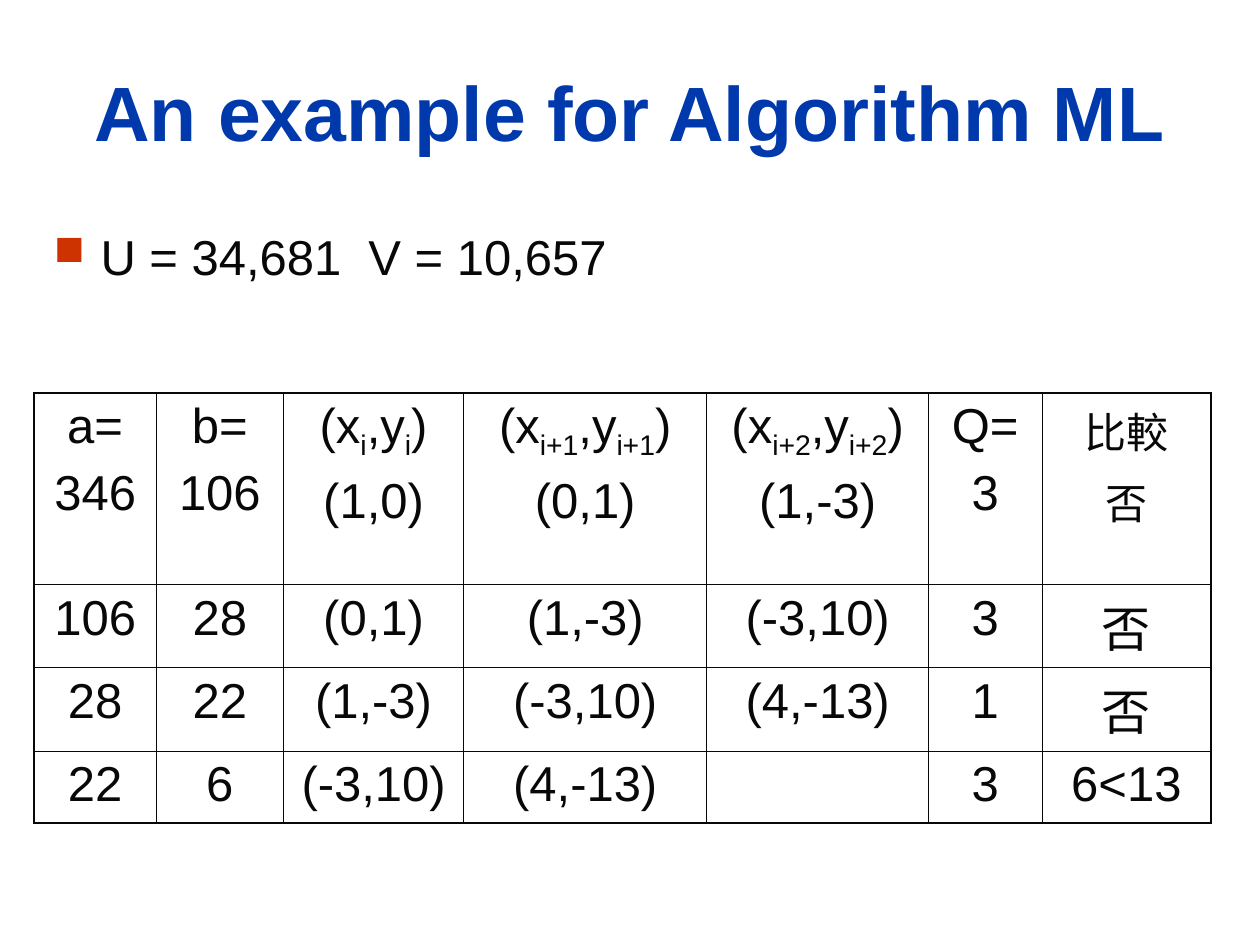
from dataclasses import dataclass

from lxml import etree
from pptx import Presentation
from pptx import util as u
from pptx.dml.color import RGBColor
from pptx.enum import text
from pptx.oxml.ns import qn


@dataclass(frozen=True)
class Theme:
    font: str = "Arial"
    title: str = "0039AC"
    ink: str = "080808"
    bullet: str = "CC3300"
    title_size: int = 44
    body_size: int = 28
    cjk_size: int = 24
    inner_line: float = 0.45
    outer_line: float = 1.08


THEME = Theme()


def style(font, size, color, bold=False):
    font.name = THEME.font
    font.size = u.Pt(size)
    font.bold = bold
    font.color.rgb = RGBColor.from_string(color)


def set_border(cell, side, width, position):
    """Draw one edge; edges come before the fill in the cell properties."""
    line = etree.Element(qn(f"a:ln{side}"), w=str(u.Pt(width)))
    fill = etree.SubElement(line, qn("a:solidFill"))
    etree.SubElement(fill, qn("a:srgbClr"), val=THEME.ink)
    cell._tc.get_or_add_tcPr().insert(position, line)


deck = Presentation()
deck.slide_width, deck.slide_height = u.Inches(10), u.Inches(7.5)
page = deck.slides.add_slide(deck.slide_layouts[5])

# Title
title = page.shapes.title
title.left, title.top = u.Inches(0.33), u.Inches(0.25)
title.width, title.height = u.Inches(9.34), u.Inches(1.25)
title.text_frame.auto_size = text.MSO_AUTO_SIZE.NONE
title.text_frame.vertical_anchor = text.MSO_ANCHOR.MIDDLE
para = title.text_frame.paragraphs[0]
para.alignment = text.PP_ALIGN.CENTER
span = para.add_run()
span.text = "An example for Algorithm ML"
style(span.font, THEME.title_size, THEME.title, bold=True)

# Starting values
box = page.shapes.add_textbox(u.Inches(0.33), u.Inches(1.75), u.Inches(9.34), u.Inches(1.92))
box.text_frame.word_wrap = True
para = box.text_frame.paragraphs[0]
props = para._p.get_or_add_pPr()
props.set("marL", str(u.Inches(0.37)))
props.set("indent", str(u.Inches(-0.37)))
bullet_color = etree.SubElement(props, qn("a:buClr"))
etree.SubElement(bullet_color, qn("a:srgbClr"), val=THEME.bullet)
etree.SubElement(props, qn("a:buSzPct"), val="85000")
etree.SubElement(props, qn("a:buChar"), char="■")
span = para.add_run()
span.text = "U = 34,681  V = 10,657"
style(span.font, THEME.body_size, THEME.ink)

# Steps of the algorithm; "\n" parts paragraphs and "_" encloses a subscript
STEPS = [
    ["a=\n346", "b=\n106", "(x_i_,y_i_)\n(1,0)", "(x_i+1_,y_i+1_)\n(0,1)",
     "(x_i+2_,y_i+2_)\n(1,-3)", "Q=\n3", "比較\n否"],
    ["106", "28", "(0,1)", "(1,-3)", "(-3,10)", "3", "否"],
    ["28", "22", "(1,-3)", "(-3,10)", "(4,-13)", "1", "否"],
    ["22", "6", "(-3,10)", "(4,-13)", "", "3", "6<13"],
]
COLUMN_WIDTHS = [0.97, 1.01, 1.43, 1.93, 1.76, 0.9, 1.34]
ROW_HEIGHTS = [1.52, 0.66, 0.66, 0.57]
last_row, last_column = len(ROW_HEIGHTS) - 1, len(COLUMN_WIDTHS) - 1

table = page.shapes.add_table(
    len(ROW_HEIGHTS), len(COLUMN_WIDTHS), u.Inches(0.27), u.Inches(3.12),
    u.Inches(sum(COLUMN_WIDTHS)), u.Inches(sum(ROW_HEIGHTS))).table
table.first_row = table.horz_banding = False
for column, width in zip(table.columns, COLUMN_WIDTHS):
    column.width = u.Inches(width)
for row, height in zip(table.rows, ROW_HEIGHTS):
    row.height = u.Inches(height)

for r, step in enumerate(STEPS):
    for c, content in enumerate(step):
        cell = table.cell(r, c)
        cell.fill.background()
        outer_edges = {"L": c == 0, "R": c == last_column, "T": r == 0, "B": r == last_row}
        for position, (side, outer) in enumerate(outer_edges.items()):
            set_border(cell, side, THEME.outer_line if outer else THEME.inner_line, position)

        size = THEME.cjk_size if (r, c) == (0, last_column) else THEME.body_size
        for n, words in enumerate(content.split("\n")):
            para = cell.text_frame.paragraphs[0] if n == 0 else cell.text_frame.add_paragraph()
            para.alignment = text.PP_ALIGN.CENTER
            para.font.size = u.Pt(size)
            if n:
                para.space_before = u.Pt(size / 4)
            for k, piece in enumerate(words.split("_")):
                if not piece:
                    continue
                span = para.add_run()
                span.text = piece
                style(span.font, size, THEME.ink)
                if k % 2:
                    span.font._element.set("baseline", "-25000")

deck.save("out.pptx")
